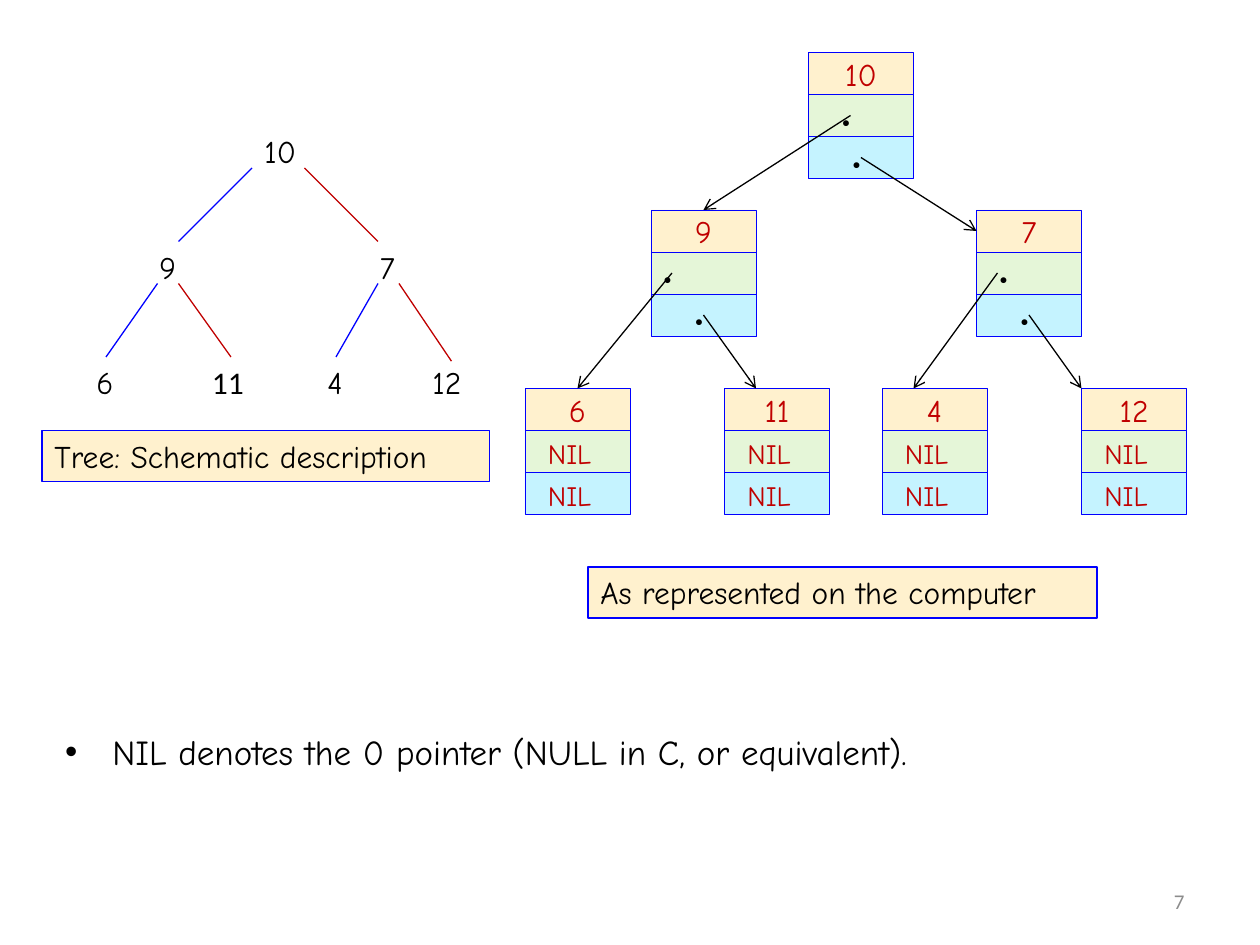
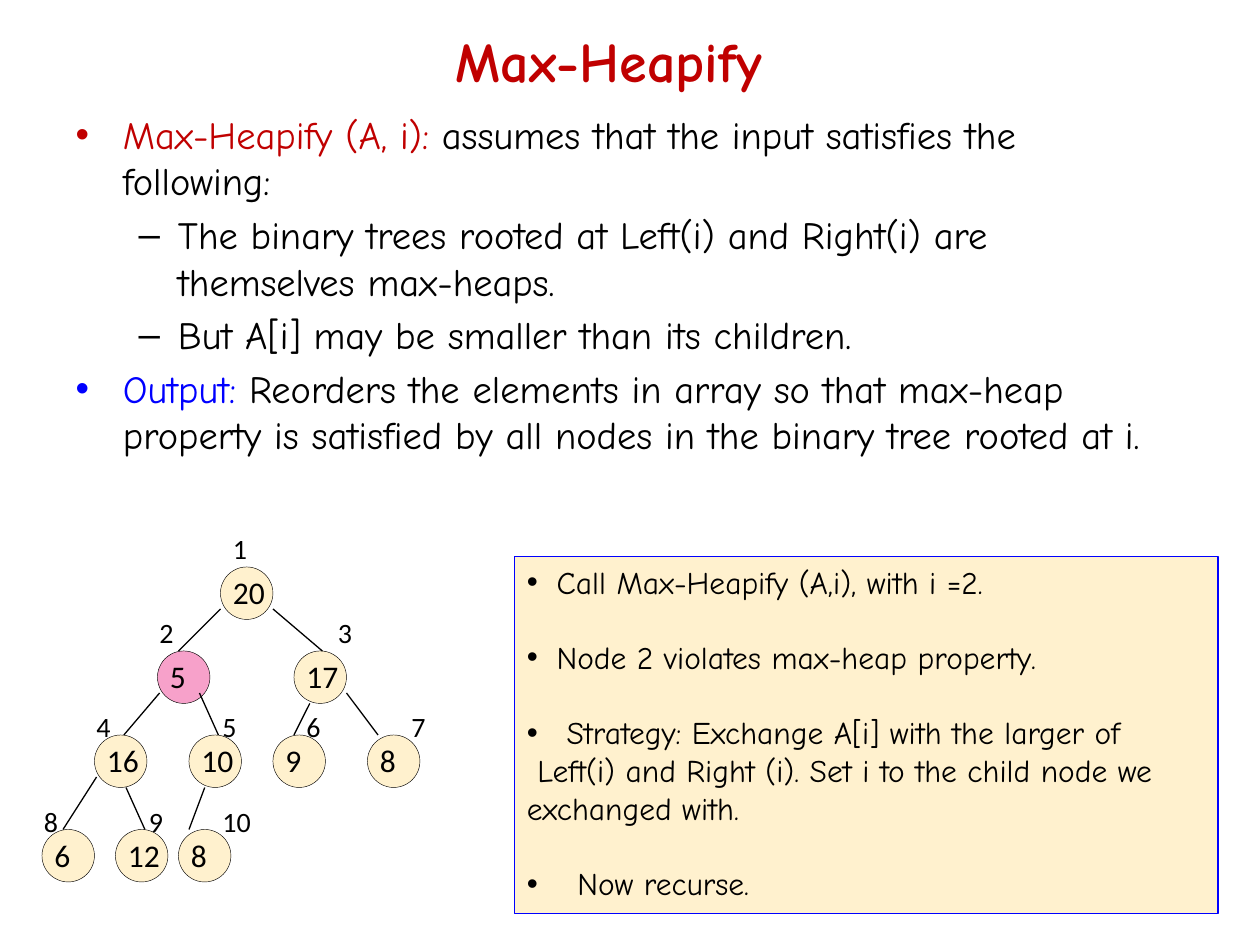
from dataclasses import dataclass
from typing import Any

from lxml import etree
from pptx import Presentation
from pptx import util as u
from pptx.dml import color
from pptx.enum import shapes, text
from pptx.oxml import ns

COMIC, CALIBRI = "Comic Neue", "Calibri"
BLACK, RED, BLUE, GREY = "000000", "C00000", "0000FF", "8C8C8C"
CREAM, GREEN, CYAN, PINK = "FFF1CE", "E5F6D8", "C5F3FF", "F7A1CA"
GRID_CM = 2.54 / 12
CELL_W, CELL_H, CIRCLE = 10, 4, 5
DOT = "\u0387"


@dataclass
class Label:
    text: str
    x: float
    y: float
    font: str = COMIC


@dataclass
class Edge:
    x1: float
    y1: float
    x2: float
    y2: float
    color: str = BLACK


@dataclass
class Record:
    key: str
    x: float
    y: float
    dots: tuple[float, ...] = ()


@dataclass
class HeapNode:
    key: str
    x: float
    y: float
    index_x: float
    index_y: float
    fill: str = CREAM


@dataclass
class Step:
    text: str
    indent: float = 0
    gap: float = 0


def g(n: float) -> u.Length:
    return u.Cm(n * GRID_CM)


def rgb(value: str) -> color.RGBColor:
    return color.RGBColor.from_string(value)


def add_run(p: Any, content: str, size: float, ink: str = BLACK,
            font: str = COMIC, bold: bool = False) -> None:
    r = p.add_run()
    r.text = content
    r.font.size = u.Pt(size)
    r.font.name = font
    r.font.bold = bold
    r.font.color.rgb = rgb(ink)


def add_label(parent: Any, label: Label, size: float = 18, ink: str = BLACK,
              bold: bool = False, width: float = 0) -> None:
    width = width or 2.7 + 1.42 * len(label.text)
    sp = parent.add_textbox(g(label.x), g(label.y), g(width), g(4.8))
    tf = sp.text_frame
    tf.word_wrap = False
    tf.auto_size = text.MSO_AUTO_SIZE.SHAPE_TO_FIT_TEXT
    add_run(tf.paragraphs[0], label.text, size, ink, label.font, bold)


def add_block(parent: Any, kind: Any, x: float, y: float, w: float, h: float,
              fill: str, ink: str = BLUE, weight: float = 0.25) -> Any:
    sp = parent.add_shape(kind, g(x), g(y), g(w), g(h))
    sp.shadow.inherit = False
    sp.fill.solid()
    sp.fill.fore_color.rgb = rgb(fill)
    sp.line.color.rgb = rgb(ink)
    sp.line.width = u.Pt(weight)
    return sp


def add_edge(parent: Any, edge: Edge, arrow: bool = False) -> None:
    sp = parent.add_connector(shapes.MSO_CONNECTOR.STRAIGHT, g(edge.x1), g(edge.y1),
                              g(edge.x2), g(edge.y2))
    sp.line.color.rgb = rgb(edge.color)
    sp.line.width = u.Pt(0.75)
    if arrow:
        etree.SubElement(sp.line._get_or_add_ln(), ns.qn("a:tailEnd"), type="arrow")
    etree.SubElement(sp._element.spPr, ns.qn("a:effectLst"))


def add_record(s: Any, record: Record) -> None:
    group = s.shapes.add_group_shape().shapes
    cells = [add_block(group, shapes.MSO_SHAPE.RECTANGLE, record.x,
                       record.y + i * CELL_H, CELL_W, CELL_H, fill)
             for i, fill in enumerate((CREAM, GREEN, CYAN))]
    tf = cells[0].text_frame
    tf.vertical_anchor = text.MSO_ANCHOR.MIDDLE
    p = tf.paragraphs[0]
    p.alignment = text.PP_ALIGN.CENTER
    add_run(p, record.key, 18, RED)
    for i in range(2):
        y = record.y + (i + 1) * CELL_H
        if record.dots:
            add_label(group, Label(DOT, record.x + record.dots[i], y, CALIBRI),
                      bold=True, width=3.2)
        else:
            add_label(group, Label("NIL", record.x + 1, y), 16, RED, width=7.6)


def add_panel(s: Any, x: float, y: float, w: float, h: float) -> Any:
    sp = add_block(s.shapes, shapes.MSO_SHAPE.RECTANGLE, x, y, w, h, CREAM, weight=0.75)
    tf = sp.text_frame
    tf.word_wrap = True
    tf.vertical_anchor = text.MSO_ANCHOR.TOP
    tf.paragraphs[0].alignment = text.PP_ALIGN.LEFT
    return tf


def add_caption(s: Any, content: str, x: float, y: float, w: float) -> None:
    add_run(add_panel(s, x, y, w, 4.85).paragraphs[0], content, 18)


def add_steps(s: Any, steps: list[Step]) -> None:
    tf = add_panel(s, 49, 53, 67, 34)
    for i, step in enumerate(steps):
        p = tf.paragraphs[0] if i == 0 else tf.add_paragraph()
        p.alignment = text.PP_ALIGN.LEFT
        p.space_before = u.Pt(step.gap)
        if step.indent:
            pPr = p._p.get_or_add_pPr()
            pPr.set("marL", str(u.Cm(step.indent)))
            pPr.set("indent", str(-u.Cm(step.indent)))
            etree.SubElement(pPr, ns.qn("a:buFont"), typeface="Arial")
            etree.SubElement(pPr, ns.qn("a:buChar"), char="\u2022")
        add_run(p, step.text, 18)


def place(sp: Any, x: float, y: float, w: float, h: float) -> Any:
    sp.left, sp.top, sp.width, sp.height = g(x), g(y), g(w), g(h)
    tf = sp.text_frame
    tf.auto_size = text.MSO_AUTO_SIZE.NONE
    return tf


def add_bullets(tf: Any, bullets: list[tuple[int, list[tuple[str, str]]]],
                size: float) -> None:
    for i, (level, runs) in enumerate(bullets):
        p = tf.paragraphs[0] if i == 0 else tf.add_paragraph()
        p.level = level
        for content, ink in runs:
            add_run(p, content, size, ink)


def new_slide(prs: Any, title: str = "") -> Any:
    s = prs.slides.add_slide(prs.slide_layouts[1])
    if title:
        tf = place(s.shapes.title, 19, 0, 78, 11.4)
        add_run(tf.paragraphs[0], title, 32, RED, bold=True)
    else:
        sp = s.shapes.title._element
        sp.getparent().remove(sp)
    return s


def add_page_number(s: Any, number: str) -> None:
    tf = s.shapes.add_textbox(g(86), g(83.4), g(28), g(4.8)).text_frame
    tf.word_wrap = True
    tf.vertical_anchor = text.MSO_ANCHOR.MIDDLE
    p = tf.paragraphs[0]
    p.alignment = text.PP_ALIGN.RIGHT
    add_run(p, number, 12, GREY, CALIBRI)


def build_tree_slide(prs: Any) -> None:
    s = new_slide(prs)
    add_page_number(s, "7")
    tf = place(s.placeholders[1], 5, 69, 109, 11.4)
    add_bullets(tf, [(0, [("NIL denotes the 0 pointer (NULL in C, or equivalent).", BLACK)])], 20)
    for label in (Label("10", 24, 12), Label("9", 14, 23), Label("7", 35, 23),
                  Label("6", 8, 34), Label("11", 19, 34, CALIBRI),
                  Label("4", 30, 34), Label("12", 40, 34)):
        add_label(s.shapes, label)
    for edge in (Edge(24, 16, 17, 23, BLUE), Edge(29, 16, 36, 23, RED),
                 Edge(15, 27, 10.1, 34, BLUE), Edge(17, 27, 22, 34, RED),
                 Edge(36, 27, 32, 34, BLUE), Edge(38, 27, 43, 34.4, RED)):
        add_edge(s.shapes, edge)
    for record in (Record("10", 77, 5, (2, 3)), Record("9", 62, 20, (0, 3)),
                   Record("7", 93, 20, (1, 3)), Record("6", 50, 37),
                   Record("11", 69, 37), Record("4", 84, 37), Record("12", 103, 37)):
        add_record(s, record)
    for pointer in (Edge(81, 11, 67, 20), Edge(82, 15, 93, 22),
                    Edge(64, 26, 55, 37), Edge(67, 30, 72, 37),
                    Edge(95, 26, 87, 37), Edge(98, 30, 103, 37)):
        add_edge(s.shapes, pointer, arrow=True)
    add_caption(s, "Tree: Schematic description", 4, 41, 42.6)
    add_caption(s, "As represented on the computer", 56, 54, 48.5)


def build_heapify_slide(prs: Any) -> None:
    s = new_slide(prs, "Max-Heapify")
    tf = place(s.placeholders[1], 6, 10, 106, 40)
    add_bullets(tf, [
        (0, [("Max-Heapify (A, i): ", RED),
             ("assumes that the input satisfies the following:", BLACK)]),
        (1, [("The binary trees rooted at Left(i) and Right(i) are "
              "themselves max-heaps.", BLACK)]),
        (1, [("But A[i] may be smaller than its children.", BLACK)]),
        (0, [("Output:", BLUE),
             (" Reorders the elements in array so that max-heap property is "
              "satisfied by all nodes in the binary tree rooted at i.", BLACK)]),
    ], 22)
    group = s.shapes.add_group_shape().shapes
    nodes = (HeapNode("20", 21, 54, 21, 50), HeapNode("5", 15, 62, 14, 58, PINK),
             HeapNode("17", 28, 62, 31, 58), HeapNode("16", 9, 70, 8, 67),
             HeapNode("10", 18, 70, 20, 67), HeapNode("9", 26, 70, 28, 67),
             HeapNode("8", 35, 70, 38, 67), HeapNode("6", 4, 79, 3, 76),
             HeapNode("12", 11, 79, 13, 76), HeapNode("8", 17, 79, 20, 76))
    for node in nodes:
        add_block(group, shapes.MSO_SHAPE.OVAL, node.x, node.y, CIRCLE, CIRCLE,
                  node.fill, BLACK)
        add_label(group, Label(node.key, node.x, node.y, CALIBRI))
    for edge in (Edge(21, 58, 17, 62), Edge(26, 58, 30.7, 62),
                 Edge(15.2, 66, 11.8, 70), Edge(19, 66, 20.8, 70),
                 Edge(29.5, 67, 28, 70), Edge(33, 66, 36, 70),
                 Edge(9.2, 74, 6, 79), Edge(12, 75, 13.8, 79),
                 Edge(19.5, 75, 18, 79)):
        add_edge(group, edge)
    for index, node in enumerate(nodes, 1):
        add_label(group, Label(str(index), node.index_x, node.index_y, CALIBRI), 16)
    add_steps(s, [
        Step("Call Max-Heapify (A,i), with i =2.", 0.6),
        Step("Node 2 violates max-heap property.", 0.6, 21.5),
        Step("Strategy: Exchange A[i] with the larger of", 0.8, 21.5),
        Step(" Left(i) and Right (i). Set i to the child node we exchanged with."),
        Step("Now recurse.", 1.02, 21.5),
    ])


def main() -> None:
    prs = Presentation()
    prs.slide_width, prs.slide_height = u.Cm(25.4), u.Cm(19.05)
    build_tree_slide(prs)
    build_heapify_slide(prs)
    prs.save("out.pptx")


main()
